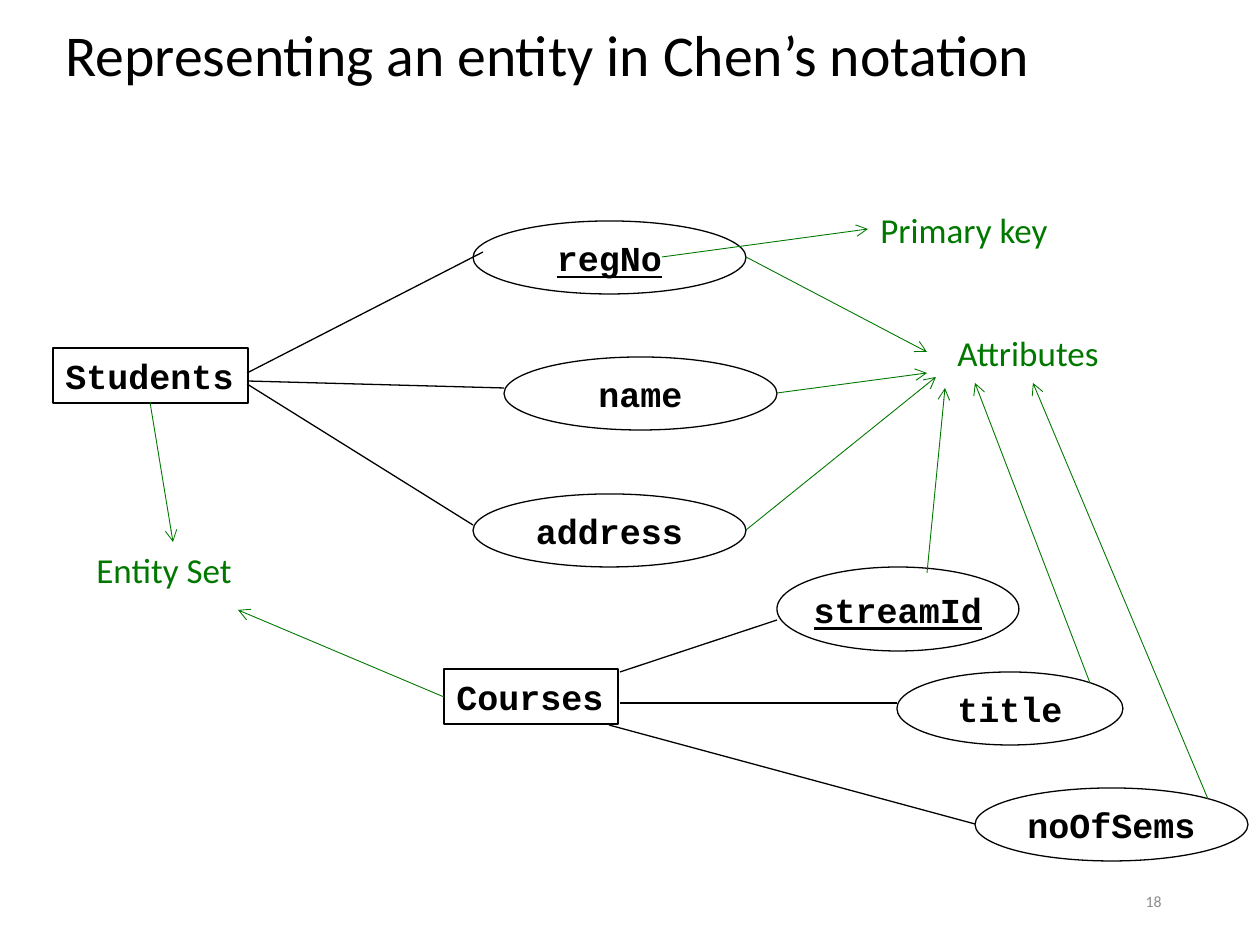
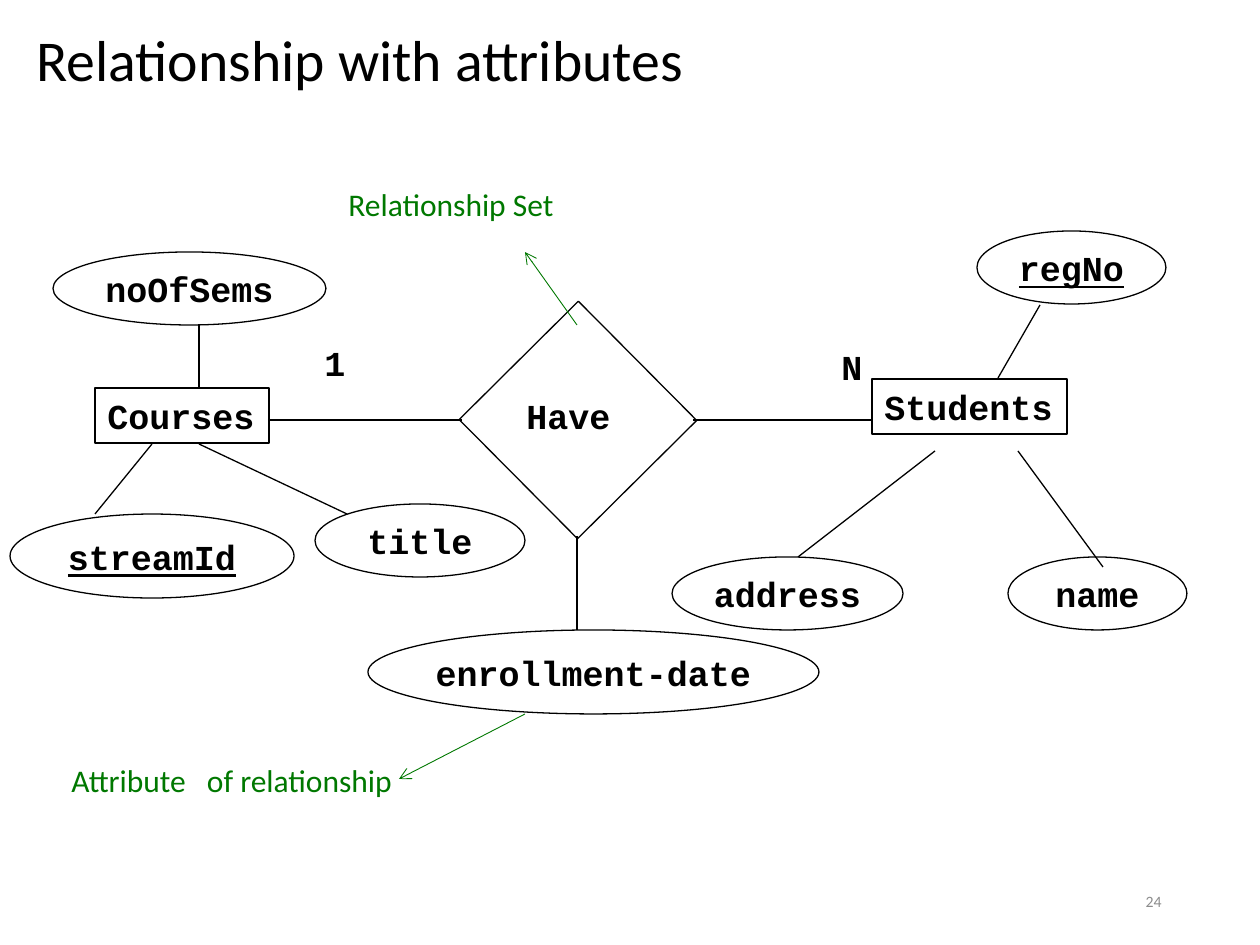
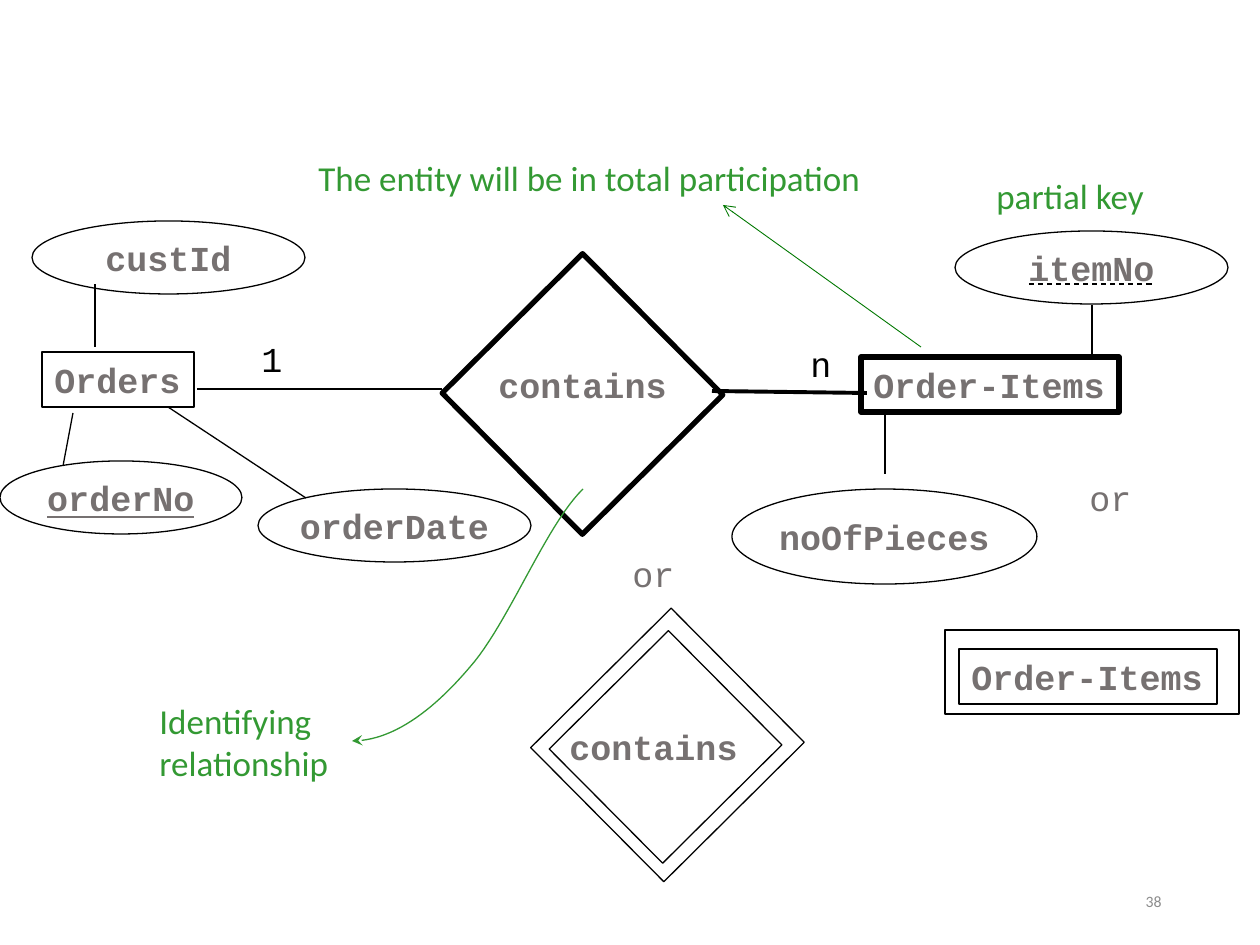
from lxml import etree
from pptx import Presentation
from pptx.dml.color import RGBColor
from pptx.enum.dml import MSO_LINE
from pptx.enum.shapes import MSO_CONNECTOR, MSO_SHAPE
from pptx.enum.text import MSO_ANCHOR, MSO_AUTO_SIZE, PP_ALIGN
from pptx.oxml.ns import qn
from pptx.util import Pt

PX = 914400 / 126
SLIDE_BOX = (0, 0, 1260, 945)
NUMBER_BOX = (890, 876, 284, 50)

COLORS = {
    "black": "000000",
    "gray": "767171",
    "number": "8C8C8C",
    "green": "007800",
    "light_green": "339933",
}
SANS, MONO = "Calibri", "Courier New"

RECTANGLE, ELLIPSE = MSO_SHAPE.RECTANGLE, MSO_SHAPE.OVAL
STRAIGHT = MSO_CONNECTOR.STRAIGHT
LEFT, CENTER, RIGHT = PP_ALIGN.LEFT, PP_ALIGN.CENTER, PP_ALIGN.RIGHT
TOP, MIDDLE = MSO_ANCHOR.TOP, MSO_ANCHOR.MIDDLE
GROW = MSO_AUTO_SIZE.SHAPE_TO_FIT_TEXT
DASH = MSO_LINE.DASH

DIAMOND_TURN = 45.2
CURVE_STEPS = 24


def emu(*lengths):
    return [round(length * PX) for length in lengths]


def inside(box, part):
    """Move a part, given relative to box, to its place on the slide."""
    left, top = box[:2]
    return (left + part[0], top + part[1], *part[2:])


def ends_inside(box, ends):
    return inside(box, ends[:2]) + inside(box, ends[2:])


def add_run(paragraph, text, font=MONO, size=20, color="black", bold=False, underline=False):
    run = paragraph.add_run()
    run.text = text
    run.font.name = font
    run.font.size = Pt(size)
    run.font.bold = bold
    run.font.underline = underline
    run.font.color.rgb = RGBColor.from_string(COLORS[color])


def write(shape, text, align=LEFT, anchor=TOP, wrap=False, grow=True, spacing=None, **run_format):
    frame = shape.text_frame
    frame.word_wrap = wrap
    frame.vertical_anchor = anchor
    if grow:
        frame.auto_size = GROW
    for index, line in enumerate(text.split("\n")):
        paragraph = frame.add_paragraph() if index else frame.paragraphs[0]
        paragraph.alignment = align
        if spacing:
            paragraph.line_spacing = spacing
        add_run(paragraph, line, **run_format)


def add_text(slide, box, text, **text_format):
    shape = slide.shapes.add_textbox(*emu(*box))
    write(shape, text, **text_format)
    return shape


def set_line(shape, color="black", width=0.75, dash=None, head=None):
    shape.line.color.rgb = RGBColor.from_string(COLORS[color])
    shape.line.width = Pt(width)
    if dash:
        shape.line.dash_style = dash
    if head:
        outline = shape.element.spPr.find(qn("a:ln"))
        etree.SubElement(outline, qn("a:tailEnd"), type=head)


def add_outline(slide, kind, box, width=0.75, turn=0):
    shape = slide.shapes.add_shape(kind, *emu(*box))
    shape.shadow.inherit = False
    shape.fill.background()
    shape.rotation = turn
    set_line(shape, width=width)
    return shape


def add_link(slide, ends, **line_format):
    connector = slide.shapes.add_connector(STRAIGHT, *emu(*ends))
    set_line(connector, **line_format)
    etree.SubElement(connector.element.spPr, qn("a:effectLst"))


def add_arrow(slide, ends):
    add_link(slide, ends, color="green", width=0.5, head="arrow")


def add_note(slide, box, text, color="green", size=20, wrap=False):
    return add_text(slide, box, text, font=SANS, color=color, size=size, wrap=wrap)


def add_entity(slide, box, name, color="black", width=0.75):
    write(add_outline(slide, RECTANGLE, box, width), name, color=color, bold=True)


def add_attribute(slide, box, name, color="black", key=False):
    ellipse = add_outline(slide, ELLIPSE, box)
    write(ellipse, name, align=CENTER, anchor=MIDDLE, grow=False,
          color=color, bold=True, underline=key)


def add_entity_group(slide, box, entity, attributes, links, key=None, color="black", width=0.75):
    """Draw an entity, its attribute ellipses and the lines between them."""
    name, entity_box = entity
    add_entity(slide, inside(box, entity_box), name, color, width)
    for ends in links:
        add_link(slide, ends_inside(box, ends))
    for attribute, part in attributes.items():
        add_attribute(slide, inside(box, part), attribute, color, attribute == key)


def add_relationship(slide, box, name, name_box, color="black", width=0.75, inner=None):
    """Draw a diamond, doubled if inner is given, with its name."""
    add_outline(slide, RECTANGLE, box, width, DIAMOND_TURN)
    if inner:
        add_outline(slide, RECTANGLE, inside(box, inner), width, DIAMOND_TURN)
    add_text(slide, inside(box, name_box), name, color=color, bold=True)


def add_weak_entity(slide, box, name, name_box, color):
    add_entity(slide, inside(box, name_box), name, color)
    add_outline(slide, RECTANGLE, box)


def bezier(start, control_1, control_2, end):
    """Return points along a cubic curve, without its start."""
    points = []
    for step in range(1, CURVE_STEPS + 1):
        t = step / CURVE_STEPS
        weights = ((1 - t) ** 3, 3 * t * (1 - t) ** 2, 3 * t * t * (1 - t), t ** 3)
        corners = (start, control_1, control_2, end)
        points.append([sum(w * corner[axis] for w, corner in zip(weights, corners))
                       for axis in (0, 1)])
    return points


def add_curved_arrow(slide, box):
    left, top, width, height = box
    start, bend, end = (width, 0), (118, 178), (0, height)
    points = bezier(start, (194, 36), (156, 135), bend)
    points += bezier(bend, (79, 224), (39, height), end)
    builder = slide.shapes.build_freeform(*emu(left + width, top))
    builder.add_line_segments([emu(left + x, top + y) for x, y in points], close=False)
    curve = builder.convert_to_shape()
    curve.shadow.inherit = False
    curve.fill.background()
    set_line(curve, color="light_green", head="stealth")


def add_page(presentation, number, title=None, title_box=None):
    slide = presentation.slides.add_slide(presentation.slide_layouts[6])
    if title:
        add_text(slide, title_box, title, font=SANS, size=33, anchor=MIDDLE,
                 wrap=True, grow=False, spacing=0.9)
    add_text(slide, NUMBER_BOX, str(number), font=SANS, size=9, color="number",
             align=RIGHT, anchor=MIDDLE, wrap=True, grow=False)
    return slide


def build_entity_slide(presentation):
    slide = add_page(presentation, 18, "Representing an entity in Chen’s notation",
                     (53, -21, 1155, 158))
    add_entity_group(
        slide, (53, 221, 724, 346), ("Students", (0, 127, 195, 55)),
        {"regNo": (420, 0, 273, 73), "name": (451, 136, 273, 73),
         "address": (420, 273, 273, 73)},
        [(194, 152, 430, 31), (194, 160, 451, 167), (194, 163, 420, 304)], key="regNo")
    add_entity_group(
        slide, (444, 567, 804, 294), ("Courses", (0, 102, 174, 55)),
        {"streamId": (333, 0, 242, 84), "title": (453, 105, 226, 73),
         "noOfSems": (531, 221, 273, 73)},
        [(176, 105, 333, 53), (176, 136, 453, 136), (165, 158, 531, 257)], key="streamId")
    add_entity_notes(slide, SLIDE_BOX)


def add_entity_notes(slide, box):
    notes = {"Entity Set": (84, 542, 176, 55), "Attributes": (945, 325, 175, 55),
             "Primary key": (868, 202, 212, 55)}
    for text, part in notes.items():
        add_note(slide, inside(box, part), text)
    arrows = [
        (150, 402, 173, 542), (444, 697, 238, 610), (662, 257, 868, 229),
        (746, 257, 927, 352), (777, 393, 927, 373), (746, 530, 936, 377),
        (927, 573, 945, 388), (1090, 683, 975, 383), (1208, 799, 1033, 383),
    ]
    for ends in arrows:
        add_arrow(slide, ends_inside(box, ends))


def build_relationship_slide(presentation):
    slide = add_page(presentation, 24, "Relationship with attributes", (24, 10, 1071, 105))
    add_entity_group(
        slide, (10, 252, 515, 346), ("Courses", (85, 136, 174, 55)),
        {"noOfSems": (43, 0, 273, 73), "streamId": (0, 262, 284, 84),
         "title": (305, 252, 210, 73)},
        [(142, 192, 85, 262), (189, 192, 337, 262), (189, 136, 189, 73)], key="streamId")
    add_entity_group(
        slide, (672, 231, 515, 399), ("Students", (200, 148, 195, 55)),
        {"regNo": (305, 0, 189, 73), "name": (336, 326, 179, 73),
         "address": (0, 326, 231, 73)},
        [(326, 147, 368, 74), (263, 220, 126, 326), (346, 220, 431, 336)], key="regNo")
    add_relationship(slide, (494, 336, 168, 168), "Have", (20, 52, 111, 55))
    add_enrollment(slide, SLIDE_BOX)


def add_enrollment(slide, box):
    """Join the diamond to both entities and its own attribute, and explain it."""
    for ends in [(268, 420, 462, 420), (693, 420, 872, 420), (577, 536, 577, 630)]:
        add_link(slide, ends_inside(box, ends))
    add_attribute(slide, inside(box, (368, 630, 451, 84)), "enrollment-date")
    for text, part in {"1": (312, 335, 47, 55), "N": (829, 339, 47, 55)}.items():
        add_text(slide, inside(box, part), text, bold=True)
    add_note(slide, inside(box, (336, 179, 257, 50)), "Relationship Set", size=18)
    note = add_note(slide, inside(box, (59, 751, 363, 55)), "Attribute", size=18)
    paragraph = note.text_frame.paragraphs[0]
    add_run(paragraph, " ", bold=True)
    add_run(paragraph, "of relationship", font=SANS, size=18, color="green")
    for ends in [(577, 325, 525, 252), (525, 714, 399, 779)]:
        add_arrow(slide, ends_inside(box, ends))


def build_weak_entity_slide(presentation):
    slide = add_page(presentation, 38)
    add_entity_group(
        slide, (0, 221, 531, 341), ("Orders", (42, 131, 152, 55)),
        {"custId": (32, 0, 273, 73), "orderDate": (258, 268, 273, 73),
         "orderNo": (0, 240, 242, 73)},
        [(73, 192, 63, 245), (95, 126, 95, 63), (168, 186, 306, 277)],
        key="orderNo", color="gray")
    items_box = (732, 231, 496, 353)
    add_entity_group(
        slide, items_box, ("Order-Items", (129, 126, 258, 55)),
        {"itemNo": (223, 0, 273, 73), "noOfPieces": (0, 258, 305, 95)},
        [(153, 243, 153, 182), (360, 126, 360, 74)], color="gray", width=3)
    add_link(slide, ends_inside(items_box, (297, 53, 423, 53)), dash=DASH)
    add_relationship(slide, (483, 295, 199, 198), "contains", (3, 62, 195, 55),
                     color="gray", width=3)
    add_relationship(slide, (573, 646, 189, 198), "contains", (-16, 73, 195, 55),
                     color="gray", inner=(12, 17, 161, 168))
    add_weak_entity(slide, (945, 630, 294, 84), "Order-Items", (14, 19, 258, 55), "gray")
    add_participation(slide, SLIDE_BOX)


def add_participation(slide, box):
    """Join the diamond to both entities, and explain the weak one."""
    add_link(slide, ends_inside(box, (867, 393, 712, 391)), width=2.25)
    add_link(slide, ends_inside(box, (442, 389, 197, 389)))
    labels = [("1", (249, 331, 47, 55), "black"), ("n", (798, 336, 47, 55), "black"),
              ("or", (620, 546, 68, 55), "gray"), ("or", (1077, 470, 68, 55), "gray")]
    for text, part, color in labels:
        add_text(slide, inside(box, part), text, color=color)
    notes = {"partial key": (984, 168, 215, 55),
             "Identifying\nrelationship": (147, 693, 273, 97),
             "The entity will be in total participation": (306, 150, 678, 55)}
    for text, part in notes.items():
        add_note(slide, inside(box, part), text, color="light_green", wrap=True)
    add_curved_arrow(slide, inside(box, (352, 489, 231, 252)))
    add_arrow(slide, ends_inside(box, (921, 347, 723, 205)))


def main():
    presentation = Presentation()
    presentation.slide_width, presentation.slide_height = emu(*SLIDE_BOX[2:])
    build_entity_slide(presentation)
    build_relationship_slide(presentation)
    build_weak_entity_slide(presentation)
    presentation.save("out.pptx")


if __name__ == "__main__":
    main()
